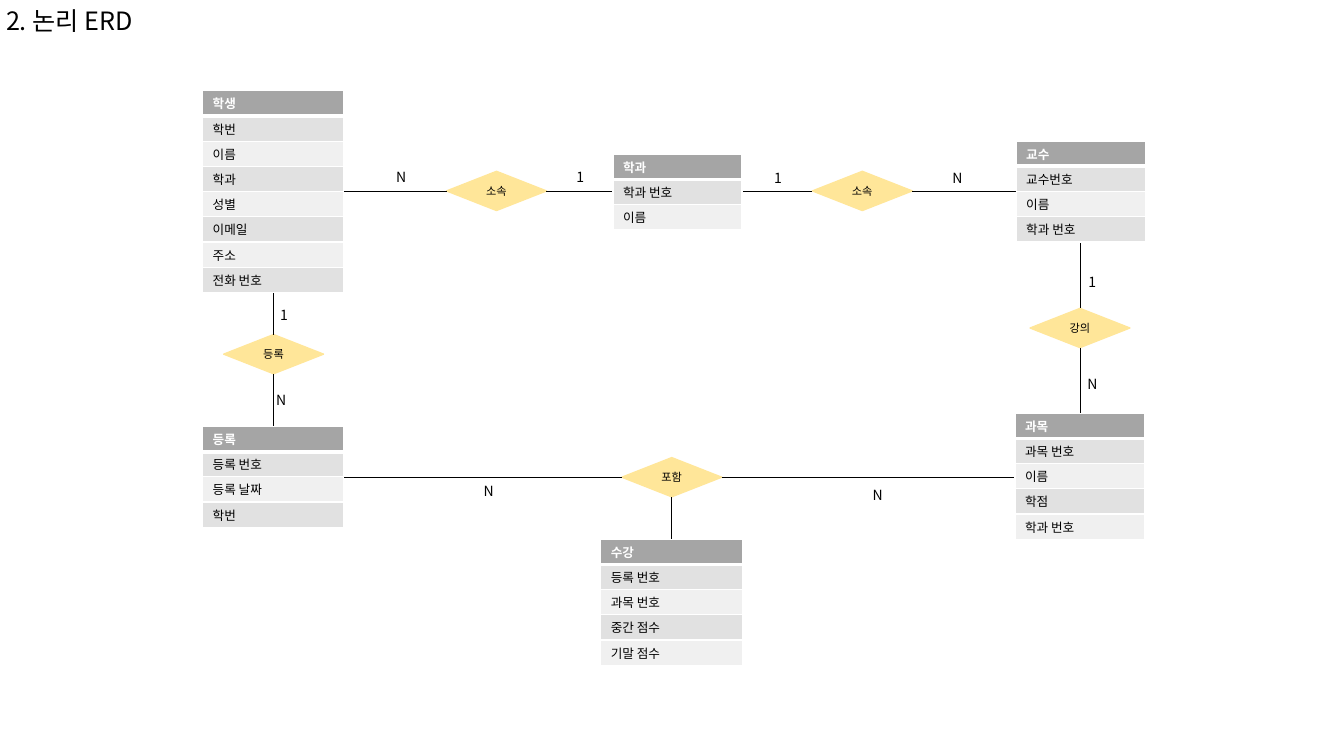
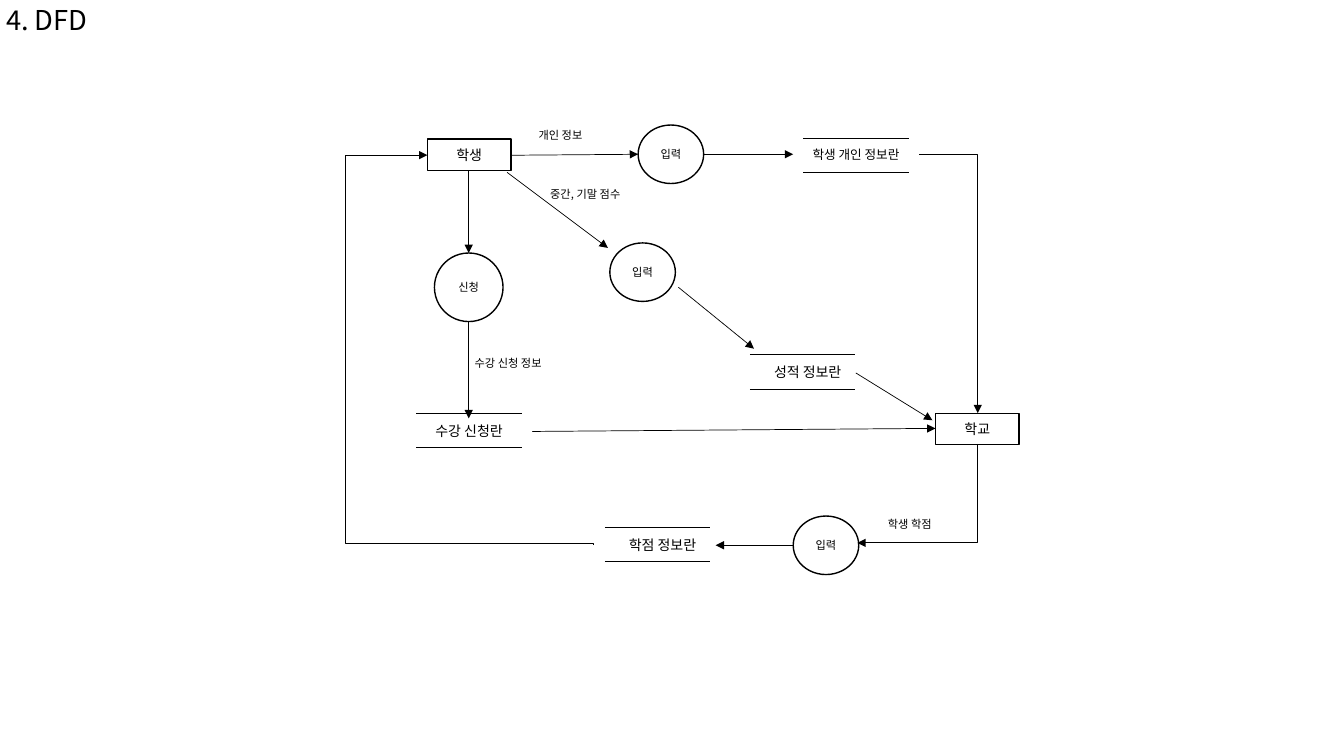
"""Build two diagram slides: a logical ERD and a DFD."""
from lxml import etree
from pptx import Presentation
from pptx.dml.color import RGBColor
from pptx.enum import shapes, text
from pptx.oxml import ns
from pptx.util import Pt

FONT = "Noto Sans CJK KR"
BLACK = RGBColor(0, 0, 0)
WHITE = RGBColor(255, 255, 255)
YELLOW = RGBColor(0xFF, 0xE6, 0x99)
HEADER = RGBColor(0xA5, 0xA5, 0xA5)
BANDS = [RGBColor(0xF0, 0xF0, 0xF0), RGBColor(0xE1, 0xE1, 0xE1)]
LEFT, CENTER = text.PP_ALIGN.LEFT, text.PP_ALIGN.CENTER
SHAPE = shapes.MSO_SHAPE

ROW_HEIGHT = 18
ENTITIES = {
    "학과": (437.8, 110.2, 92.2, ["학과 번호", "이름"]),
    "교수": (725.8, 100.8, 92.2, ["교수번호", "이름", "학과 번호"]),
    "과목": (725, 295.2, 92.9, ["과목 번호", "이름", "학점", "학과 번호"]),
    "등록": (144.7, 304.6, 100.8, ["등록 번호", "등록 날짜", "학번"]),
    "학생": (144.7, 64.8, 100.8,
           ["학번", "이름", "학과", "성별", "이메일", "주소", "전화 번호"]),
    "수강": (429.1, 385.2, 101.5,
           ["등록 번호", "과목 번호", "중간 점수", "기말 점수"]),
}
DIAMOND = (71.3, 28)
RELATIONS = [
    ("소속", 319, 122.4, {"left": "학생", "right": "학과"}),
    ("소속", 580.3, 122.4, {"left": "학과", "right": "교수"}),
    ("포함", 444.2, 326.9, {"left": "등록", "right": "과목", "bottom": "수강"}),
    ("등록", 159.8, 239, {"top": "학생", "bottom": "등록"}),
    ("강의", 735.8, 220.3, {"top": "교수", "bottom": "과목"}),
]
CARDINALITIES = [
    ("N", 275.8, 116.6), ("1", 404.6, 116.6), ("1", 545.8, 117.4),
    ("N", 673.2, 117.4), ("N", 769.7, 265), ("1", 770.4, 192.2),
    ("N", 190.1, 275.8), ("1", 193, 215.3), ("N", 338.4, 341.3),
    ("N", 616.3, 344.2),
]

BAR_WIDTH, BAR_GAP = 75.2, 24.5
STORES = [
    ("학생 개인 정보란", 9, 573.8, 98.6, 0),
    ("성적 정보란", 10, 535.7, 253.4, 3.6),
    ("수강 신청란", 10, 297.4, 295.2, 0),
    ("학점 정보란", 10, 432, 376.6, 3.6),
]
ACTOR, CIRCLE, OVAL = (59.8, 22.3), (49, 49), (46.8, 41.8)
NODES = [
    ("학생", SHAPE.RECTANGLE, 305.3, 99.4, ACTOR, 10, None),
    ("학교", SHAPE.RECTANGLE, 668.2, 295.2, ACTOR, 10, None),
    ("신청", SHAPE.OVAL, 310.3, 180.7, CIRCLE, 8, WHITE),
    ("입력", SHAPE.OVAL, 455.8, 89.3, OVAL, 8, WHITE),
    ("입력", SHAPE.OVAL, 435.6, 173.5, OVAL, 8, WHITE),
    ("입력", SHAPE.OVAL, 566.6, 368.6, OVAL, 8, WHITE),
]
ARROWS = [
    (365, 110.9, 455.8, 110.2), (334.8, 121.7, 334.8, 180.7),
    (334.8, 229.7, 334.8, 298.8), (502.6, 110.2, 566.6, 110.2),
    (380.2, 308.2, 668.2, 306), (362.2, 123.1, 434.2, 177.1),
    (484.6, 205.2, 538.6, 249.1), (611.3, 266.4, 666, 300.2),
    (566.6, 389.5, 511.2, 389.5),
]
ELBOWS = [
    ((656.6, 110.2, 698.4, 295.2), "bentConnector2", {}, {}),
    ((619.9, 309.6, 690.5, 395.3), "bentConnector2", {"rot": 90 * 60000}, {}),
    ((225.4, 190.8, 504, 309.6), "bentConnector4",
     {"rot": 270 * 60000, "flipV": 1}, {"adj1": 400, "adj2": 149100}),
]
FLOWS = [
    (" 개인 정보", 375.8, 87.8), ("수강 신청 정보", 331.9, 251.3),
    ("학생 학점", 627.1, 365.8), ("중간, 기말 점수 ", 385.9, 130.3),
]


def add_xml(parent, tag, **attributes):
    child = etree.SubElement(parent, ns.qn(tag))
    for name, value in attributes.items():
        child.set(name, str(value))
    return child


def write(frame, words, size, color=BLACK, align=LEFT, bold=False, **format_values):
    for name, value in format_values.items():
        setattr(frame, name, value)
    para = frame.paragraphs[0]
    para.alignment = align
    span = para.add_run()
    span.text = words
    for name, value in {"name": FONT, "size": Pt(size), "bold": bold}.items():
        setattr(span.font, name, value)
    span.font.color.rgb = color
    add_xml(span.font._element, "a:ea", typeface=FONT)
    return para


def add_page(title, size):
    page = deck.slides.add_slide(deck.slide_layouts[5])
    box = page.shapes.title
    place = {"left": -2.9, "top": -2.9, "width": 120.2, "height": 37.4}
    for name, value in place.items():
        setattr(box, name, Pt(value))
    para = write(box.text_frame, title, size, word_wrap=True,
                 auto_size=text.MSO_AUTO_SIZE.NONE,
                 vertical_anchor=text.MSO_ANCHOR.MIDDLE)
    para.line_spacing = 0.9
    return page


def add_label(page, words, left, top, width, size, align=LEFT):
    box = page.shapes.add_textbox(Pt(left), Pt(top), Pt(width), Pt(size + 9.4))
    write(box.text_frame, words, size, align=align, word_wrap=True,
          auto_size=text.MSO_AUTO_SIZE.SHAPE_TO_FIT_TEXT)


def add_node(page, words, kind, left, top, extent, size, fill, outline=BLACK):
    node = page.shapes.add_shape(kind, Pt(left), Pt(top), *map(Pt, extent))
    node.shadow.inherit = False
    if fill is None:
        node.fill.background()
    else:
        node.fill.solid()
        node.fill.fore_color.rgb = fill
    node.line.color.rgb = outline
    node.line.width = Pt(1)
    write(node.text_frame, words, size, align=CENTER, word_wrap=True,
          vertical_anchor=text.MSO_ANCHOR.MIDDLE, margin_left=0,
          margin_right=0, margin_top=0, margin_bottom=0)


def add_line(page, ends, arrow=False, kind=shapes.MSO_CONNECTOR.STRAIGHT):
    line = page.shapes.add_connector(kind, *map(Pt, ends))
    line.line.color.rgb = BLACK
    line.line.width = Pt(0.5)
    properties = line._element.spPr
    if arrow:
        add_xml(properties.get_or_add_ln(), "a:tailEnd", type="triangle")
    add_xml(properties, "a:effectLst")
    return properties


def add_elbow(page, ends, preset, turn, adjustments):
    properties = add_line(page, ends, True, shapes.MSO_CONNECTOR.ELBOW)
    for name, value in turn.items():
        properties.find(ns.qn("a:xfrm")).set(name, str(value))
    geometry = properties.find(ns.qn("a:prstGeom"))
    geometry.set("prst", preset)
    for name, value in adjustments.items():
        add_xml(geometry.find(ns.qn("a:avLst")), "a:gd", name=name, fmla=f"val {value}")


def style_cell(cell, words, row):
    is_header = row == 0
    cell.fill.solid()
    cell.fill.fore_color.rgb = HEADER if is_header else BANDS[row % 2]
    cell.margin_top = cell.margin_bottom = Pt(2.5)
    write(cell.text_frame, words, 9, WHITE if is_header else BLACK, bold=is_header)
    properties = cell._tc.get_or_add_tcPr()
    widths = {"a:lnL": 1, "a:lnR": 1, "a:lnT": 3 if row == 1 else 1,
              "a:lnB": 3 if is_header else 1}
    for position, (tag, width) in enumerate(widths.items()):
        border = add_xml(properties, tag, w=Pt(width))
        add_xml(add_xml(border, "a:solidFill"), "a:srgbClr", val=WHITE)
        properties.insert(position, border)


def add_entity(page, name, left, top, width, fields):
    rows = [name, *fields]
    frame = page.shapes.add_table(len(rows), 1, Pt(left), Pt(top), Pt(width),
                                  Pt(ROW_HEIGHT * len(rows)))
    for row, words in enumerate(rows):
        frame.table.rows[row].height = Pt(ROW_HEIGHT)
        style_cell(frame.table.cell(row, 0), words, row)


def link_ends(side, left, top, entity):
    entity_left, entity_top, entity_width, fields = ENTITIES[entity]
    width, height = DIAMOND
    middle_x, middle_y = left + width / 2, top + height / 2
    entity_bottom = entity_top + ROW_HEIGHT * (len(fields) + 1)
    return {
        "left": (entity_left + entity_width, middle_y, left, middle_y),
        "right": (left + width, middle_y, entity_left, middle_y),
        "top": (middle_x, entity_bottom, middle_x, top),
        "bottom": (middle_x, top + height, middle_x, entity_top),
    }[side]


def build_erd():
    page = add_page("2. 논리 ERD", 18)
    for words, left, top, links in RELATIONS:
        add_node(page, words, SHAPE.FLOWCHART_DECISION, left, top, DIAMOND, 8,
                 YELLOW, YELLOW)
        for side, entity in links.items():
            add_line(page, link_ends(side, left, top, entity))
    for words, left, top in CARDINALITIES:
        add_label(page, words, left, top, 21.6, 10)
    for name, values in ENTITIES.items():
        add_entity(page, name, *values)


def build_dfd():
    page = add_page("4. DFD", 19.5)
    for words, size, left, top, shift in STORES:
        add_label(page, words, left + BAR_WIDTH / 2 - 45 + shift, top + 3, 90,
                  size, CENTER)
        for bar in (top, top + BAR_GAP):
            add_line(page, (left, bar, left + BAR_WIDTH, bar))
    for node in NODES:
        add_node(page, *node)
    for ends in ARROWS:
        add_line(page, ends, arrow=True)
    for elbow in ELBOWS:
        add_elbow(page, *elbow)
    for words, left, top in FLOWS:
        add_label(page, words, left, top, 78.5, 8)


deck = Presentation()
deck.slide_width, deck.slide_height = Pt(960), Pt(540)
build_erd()
build_dfd()
deck.save("out.pptx")
